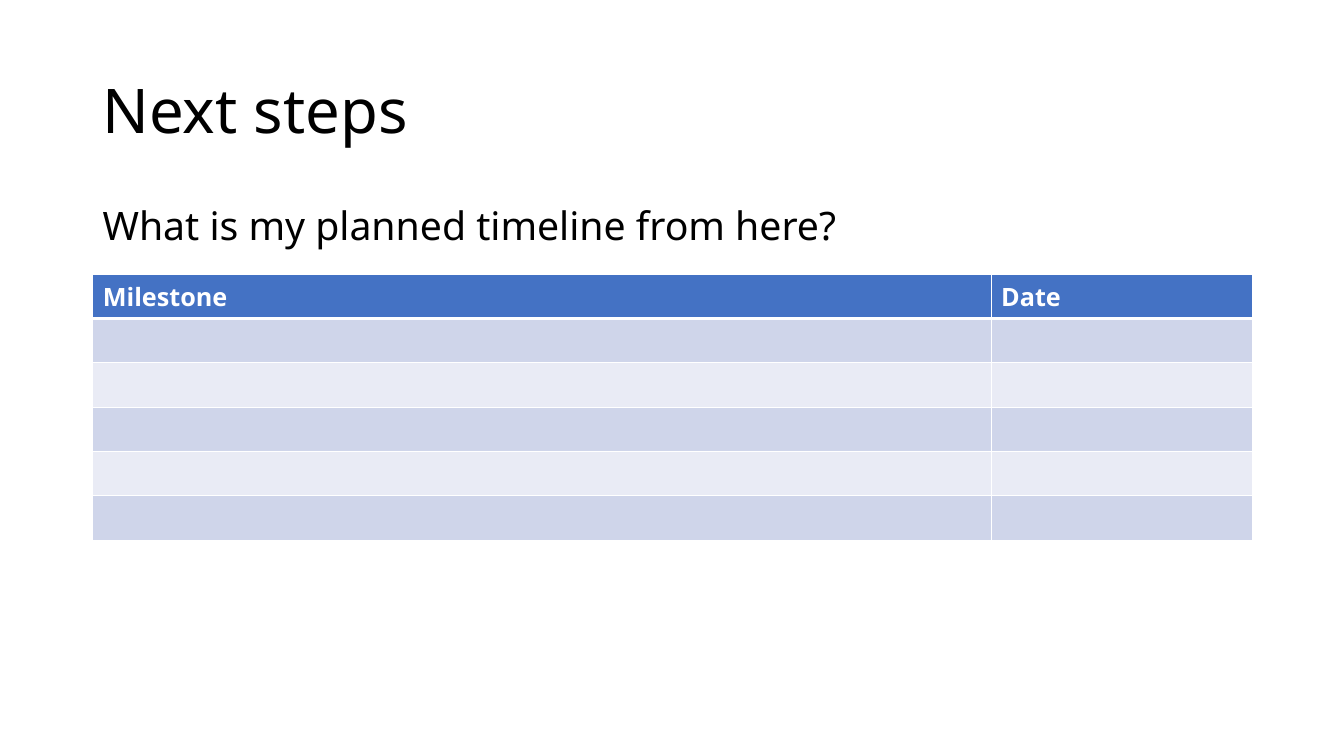
import pptx
import pptx.util
import pptx.dml.color
import pptx.enum.text
import lxml.etree
import pptx.oxml.ns

Inches = pptx.util.Inches
Pt = pptx.util.Pt
RGBColor = pptx.dml.color.RGBColor
ANCHOR = pptx.enum.text.MSO_ANCHOR

BLACK = RGBColor(0x00, 0x00, 0x00)
WHITE = RGBColor(0xFF, 0xFF, 0xFF)
BLUE = RGBColor(0x44, 0x72, 0xC4)
BANDS = [RGBColor(0xE9, 0xEB, 0xF5), RGBColor(0xCF, 0xD5, 0xEA)]
FONT = "Noto Sans"
LEFT, WIDTH = 0.92, 11.5


def add_run(para, text, size, color, bold=False):
    """Add one styled run to a paragraph."""
    run = para.add_run()
    run.text = text
    run.font.name = FONT
    run.font.size = Pt(size)
    run.font.bold = bold
    run.font.color.rgb = color


def set_lines(cell, base):
    """Give a cell white borders, with the bottom one base points wide."""
    props = cell._tc.get_or_add_tcPr()
    for spot, (side, width) in enumerate([("L", 1), ("R", 1), ("T", 1), ("B", base)]):
        line = lxml.etree.Element(pptx.oxml.ns.qn("a:ln" + side), w=str(Pt(width)))
        fill = lxml.etree.SubElement(line, pptx.oxml.ns.qn("a:solidFill"))
        lxml.etree.SubElement(fill, pptx.oxml.ns.qn("a:srgbClr"), val=str(WHITE))
        props.insert(spot, line)


deck = pptx.Presentation()
deck.slide_width = Inches(13.33)
deck.slide_height = Inches(7.5)
slide = deck.slides.add_slide(deck.slide_layouts[6])

# Title and question
texts = [
    ("Next steps", 0.4, 1.45, 44, 0, ANCHOR.MIDDLE),
    ("What is my planned timeline from here?", 2, 0.58, 28, 10, ANCHOR.TOP),
]
for text, top, height, size, space, anchor in texts:
    box = slide.shapes.add_textbox(Inches(LEFT), Inches(top), Inches(WIDTH), Inches(height))
    frame = box.text_frame
    frame.word_wrap = True
    frame.vertical_anchor = anchor
    para = frame.paragraphs[0]
    para.line_spacing = 0.9
    para.space_before = Pt(space)
    add_run(para, text, size, BLACK)

# Timeline table
heads = ["Milestone", "Date"]
widths = [8.91, 2.59]
count, height = 6, 0.44
frame = slide.shapes.add_table(
    count, len(heads), Inches(LEFT), Inches(2.72), Inches(WIDTH), Inches(count * height)
)
table = frame.table
for col, width in zip(table.columns, widths):
    col.width = Inches(width)
for index, row in enumerate(table.rows):
    row.height = Inches(height)
    for cell in row.cells:
        cell.fill.solid()
        cell.fill.fore_color.rgb = BANDS[index % 2] if index else BLUE
        set_lines(cell, 1 if index else 3)
        if index == 1:
            cell._tc.tcPr.find(pptx.oxml.ns.qn("a:lnT")).set("w", str(Pt(3)))
for cell, head in zip(table.rows[0].cells, heads):
    add_run(cell.text_frame.paragraphs[0], head, 18, WHITE, True)

deck.save("out.pptx")
